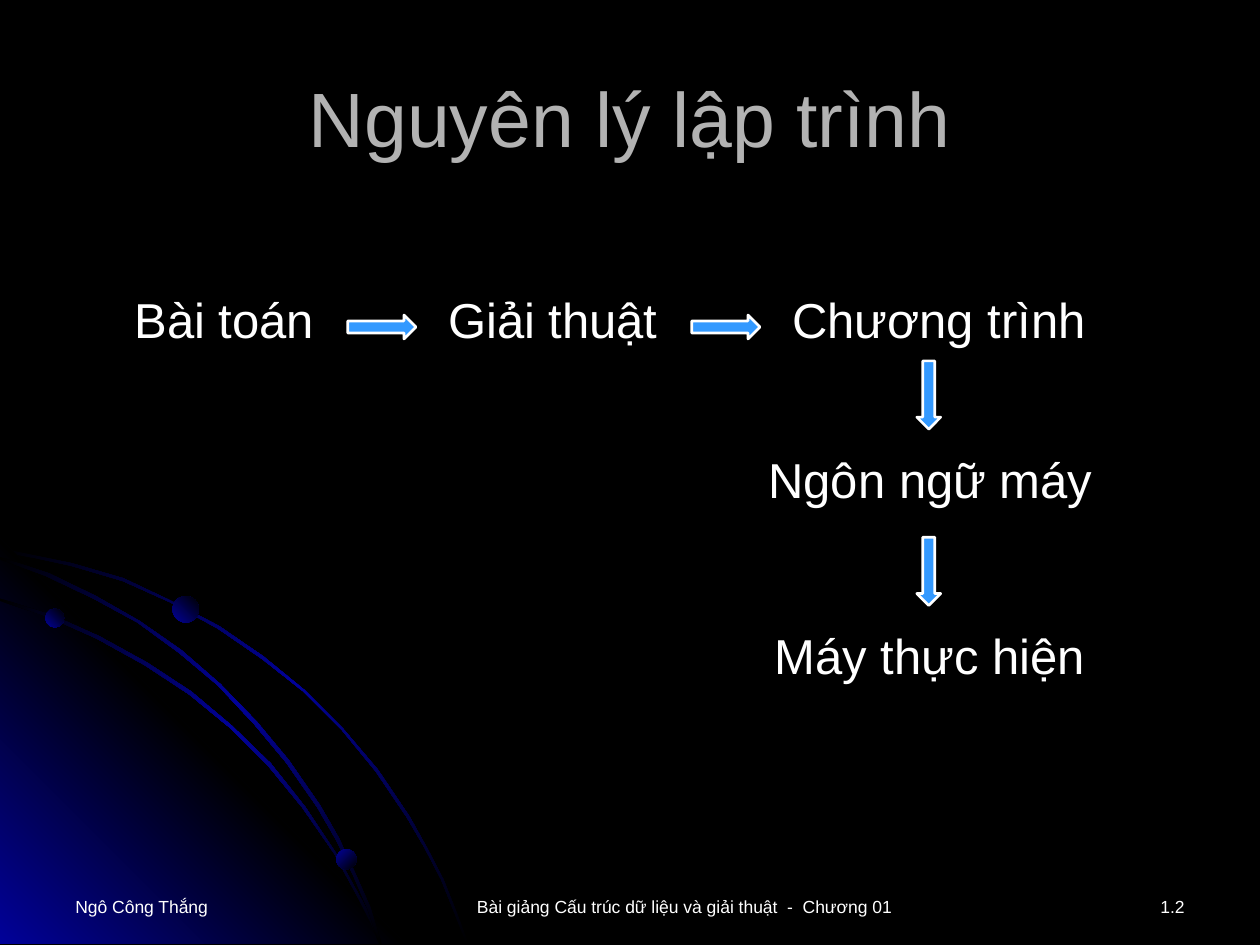
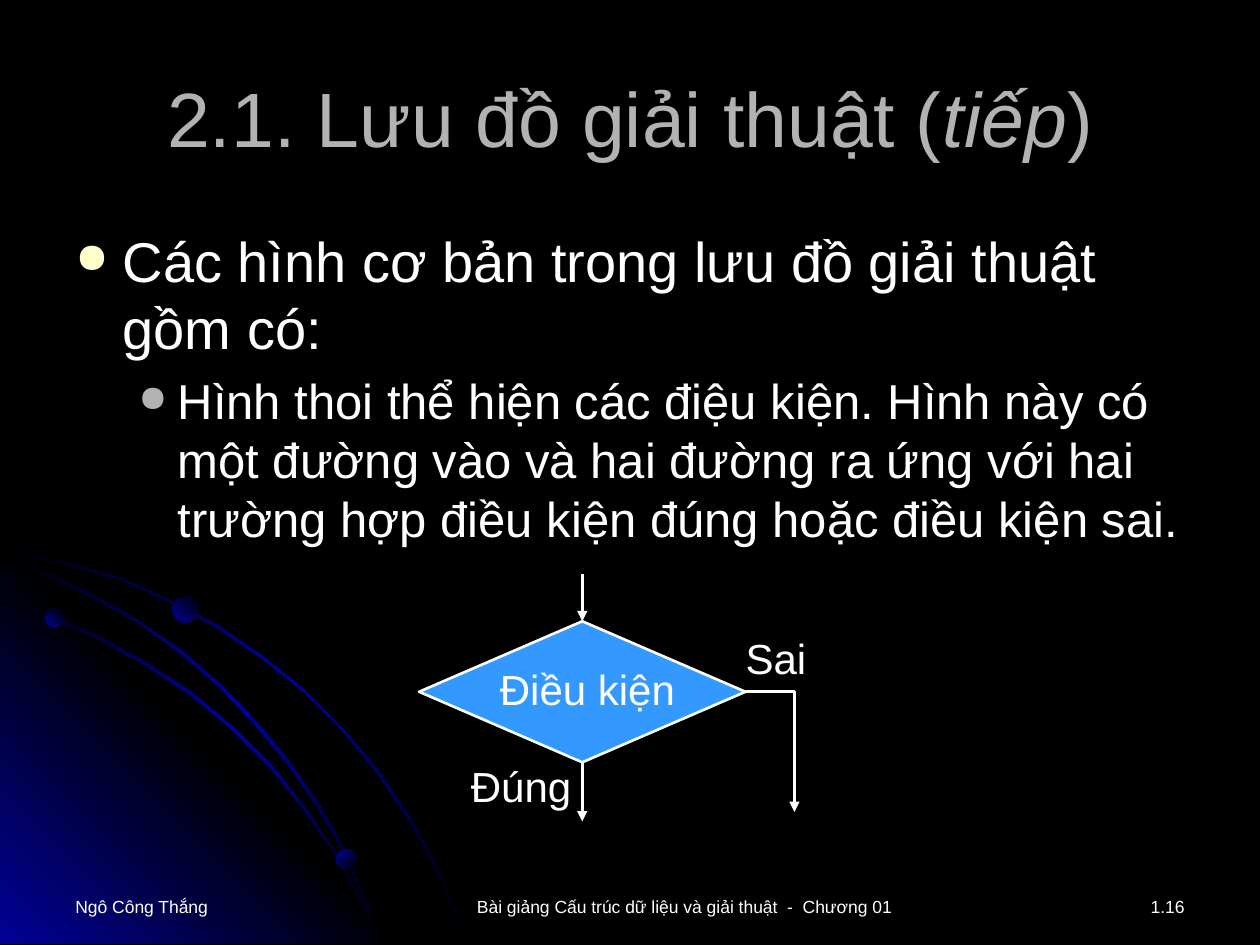
from lxml.etree import SubElement
from pptx import Presentation
from pptx.dml.color import RGBColor
from pptx.enum.shapes import MSO_CONNECTOR, MSO_SHAPE
from pptx.enum.text import MSO_ANCHOR, PP_ALIGN
from pptx.oxml import parse_xml
from pptx.oxml.ns import nsdecls, qn
from pptx.util import Pt

BLACK = RGBColor(0x00, 0x00, 0x00)
WHITE = RGBColor(0xFF, 0xFF, 0xFF)
GRAY = RGBColor(0xB2, 0xB2, 0xB2)
CREAM = RGBColor(0xFF, 0xFF, 0xCC)
SKY = RGBColor(0x33, 0x99, 0xFF)
NAVY = RGBColor(0x01, 0x01, 0x99)
FONT = "Arial"
HUNDREDTH_INCH = Pt(0.72)

# Corner decoration: outlines in hundredths of an inch
OUTER_ARC = [
    (57, 447), (28, 441), (0, 435), (0, 438), (28, 443), (56, 449), (97, 461),
    (135, 478), (173, 499), (208, 523), (241, 549), (271, 579), (298, 612),
    (323, 649), (337, 673), (350, 698), (360, 723), (370, 749), (372, 749),
    (362, 723), (352, 698), (339, 673), (325, 648), (300, 611), (272, 578),
    (242, 548), (209, 521), (174, 497), (136, 477), (98, 459)]
CORNER = [(322, 749), (0, 749), (0, 427)]
INNER_ARC = [
    (285, 714), (294, 732), (301, 749), (303, 749), (296, 730), (286, 712),
    (266, 676), (242, 640), (215, 606), (184, 576), (152, 549), (117, 526),
    (79, 505), (41, 488), (0, 475), (0, 477), (39, 490), (77, 507), (115, 528),
    (150, 551), (183, 578), (213, 608), (240, 641), (265, 677)]
MIDDLE_ARC = [
    (0, 442), (0, 444), (36, 457), (74, 475), (109, 494), (142, 518), (173, 544),
    (202, 575), (227, 605), (252, 641), (267, 667), (280, 694), (292, 722),
    (301, 749), (303, 749), (294, 720), (282, 693), (269, 665), (254, 639),
    (229, 603), (204, 573), (175, 543), (144, 516), (111, 493), (76, 473),
    (39, 455)]
GLOW = (BLACK, NAVY, BLACK)
OUTLINES = [(OUTER_ARC, GLOW, 45), (CORNER, (NAVY, BLACK, NAVY), 315),
            (INNER_ARC, GLOW, 45), (MIDDLE_ARC, GLOW, 45)]
# left, top, diameter, gradient angle
BEADS = [(25.9, 347.8, 10.8, 315), (192.2, 485.3, 11.5, 45), (98.6, 340.6, 15.1, 315)]


def add_text(page, paragraphs, left, top, width, height, size=28, color=WHITE,
             align=PP_ALIGN.LEFT, anchor=MSO_ANCHOR.TOP, wrap=True, bullets=()):
    """Each paragraph is a list of runs; a run starting with '/' is italic."""
    frame = page.shapes.add_textbox(Pt(left), Pt(top), Pt(width), Pt(height)).text_frame
    frame.word_wrap = wrap
    frame.vertical_anchor = anchor
    for index, runs in enumerate(paragraphs):
        para = frame.paragraphs[0] if index == 0 else frame.add_paragraph()
        para.alignment = align
        para_size = size
        if bullets:
            margin, indent, bullet_color, para_size = bullets[index]
            props = para._p.get_or_add_pPr()
            props.set("marL", str(Pt(margin)))
            props.set("indent", str(Pt(-indent)))
            tint = SubElement(props, qn("a:buClr"))
            SubElement(tint, qn("a:srgbClr"), val=str(bullet_color))
            SubElement(props, qn("a:buSzPct"), val="75000")
            SubElement(props, qn("a:buChar"), char="●")
            if index:
                para.space_before = Pt(para_size * 0.2)
        for text in runs:
            span = para.add_run()
            span.text = text.removeprefix("/")
            span.font.italic = text.startswith("/")
            span.font.name = FONT
            span.font.size = Pt(para_size)
            span.font.color.rgb = color


def style_shape(shape, gradient=None, angle=0):
    """Gradient without outline, or plain blue with a white outline."""
    shape.shadow.inherit = False
    if gradient is None:
        shape.fill.solid()
        shape.fill.fore_color.rgb = SKY
        shape.line.color.rgb = WHITE
        shape.line.width = Pt(1.5)
        return
    shape.line.fill.background()
    stops = "".join(
        f'<a:gs pos="{100000 * i // (len(gradient) - 1)}"><a:srgbClr val="{color}"/></a:gs>'
        for i, color in enumerate(gradient))
    shape._element.spPr.find(qn("a:ln")).addprevious(parse_xml(
        f'<a:gradFill {nsdecls("a")} rotWithShape="1"><a:gsLst>{stops}</a:gsLst>'
        f'<a:lin ang="{angle * 60000}" scaled="1"/></a:gradFill>'))


deck = Presentation()
deck.slide_width, deck.slide_height = Pt(720), Pt(540)

# Shared background, decoration, title and footer
pages = []
for title, number in [(["Nguyên lý lập trình"], "1.2"),
                      (["2.1. Lưu đồ giải thuật (", "/tiếp", ")"], "1.16")]:
    page = deck.slides.add_slide(deck.slide_layouts[6])
    pages.append(page)
    page.background.fill.solid()
    page.background.fill.fore_color.rgb = BLACK
    for points, gradient, angle in OUTLINES:
        builder = page.shapes.build_freeform(*points[0], scale=HUNDREDTH_INCH)
        builder.add_line_segments(points[1:], close=True)
        style_shape(builder.convert_to_shape(), gradient, angle)
    for left, top, diameter, angle in BEADS:
        bead = page.shapes.add_shape(MSO_SHAPE.OVAL, Pt(left), Pt(top),
                                     Pt(diameter), Pt(diameter))
        style_shape(bead, (NAVY, BLACK), angle)
    add_text(page, [title], 36, 21.6, 648, 90, size=44, color=GRAY,
             align=PP_ALIGN.CENTER, anchor=MSO_ANCHOR.MIDDLE)
    for text, left, width, align in [
            ("Ngô Công Thắng", 36, 168, PP_ALIGN.LEFT),
            ("Bài giảng Cấu trúc dữ liệu và giải thuật  -  Chương 01", 213, 356,
             PP_ALIGN.CENTER),
            (number, 579, 105, PP_ALIGN.RIGHT)]:
        add_text(page, [[text]], left, 508.3, width, 21.6, size=10, align=align)

principle_page, flowchart_page = pages

# Programming steps and the arrows between them
for text, left, top, width in [
        ("Bài toán", 69.8, 162, 118), ("Giải thuật", 249, 162, 135.4),
        ("Chương trình", 445.7, 162, 184.3), ("Ngôn ngữ máy", 432, 253.5, 202.3),
        ("Máy thực hiện", 435.6, 354.2, 193.7)]:
    add_text(principle_page, [[text]], left, top, width, 41, wrap=False)
for left, top, rotation in [(198.7, 180, 0), (395.3, 180, 0),
                            (511.2, 218.9, 90), (511.2, 319.7, 90)]:
    arrow = principle_page.shapes.add_shape(MSO_SHAPE.RIGHT_ARROW, Pt(left), Pt(top),
                                            Pt(39), Pt(13.7))
    arrow.rotation = rotation
    style_shape(arrow)

# Explanation of the decision shape
add_text(flowchart_page, [
    ["Các hình cơ bản trong lưu đồ giải thuật gồm có:"],
    ["Hình thoi thể hiện các điệu kiện. Hình này có một đường vào và hai đường ra "
     "ứng với hai trường hợp điều kiện đúng hoặc điều kiện sai."]],
    36, 126, 648, 368, bullets=[(27, 27, CREAM, 32), (58.5, 22.5, GRAY, 28)])

# Decision diamond with one way in and two ways out
diamond = flowchart_page.shapes.add_shape(MSO_SHAPE.DIAMOND, Pt(239.5), Pt(355),
                                          Pt(186.5), Pt(80.6))
style_shape(diamond)
center = Pt(332.75)
way_in = flowchart_page.shapes.add_connector(MSO_CONNECTOR.STRAIGHT, center, Pt(328.3),
                                             center, Pt(355))
way_in.end_connect(diamond, 0)
true_way = flowchart_page.shapes.add_connector(MSO_CONNECTOR.STRAIGHT, center, Pt(435.6),
                                               center, Pt(469.4))
true_way.begin_connect(diamond, 2)
builder = flowchart_page.shapes.build_freeform(426, 395.3, scale=Pt(1))
builder.add_line_segments([(453.6, 395.3), (453.6, 464.4)], close=False)
false_way = builder.convert_to_shape()
false_way.fill.background()
false_way.shadow.inherit = False
for way in (way_in, true_way, false_way):
    way.line.color.rgb = WHITE
    way.line.width = Pt(1.5)
    SubElement(way.line._get_or_add_ln(), qn("a:tailEnd"), type="triangle")
for way in (way_in, true_way):
    SubElement(way._element.spPr, qn("a:effectLst"))

for text, left, top, width in [("Điều kiện", 278.6, 375.8, 122.4),
                               ("Đúng", 262, 431.3, 76.3), ("Sai", 419, 357.8, 60.5)]:
    add_text(flowchart_page, [[text]], left, top, width, 36, size=24)

deck.save("out.pptx")
